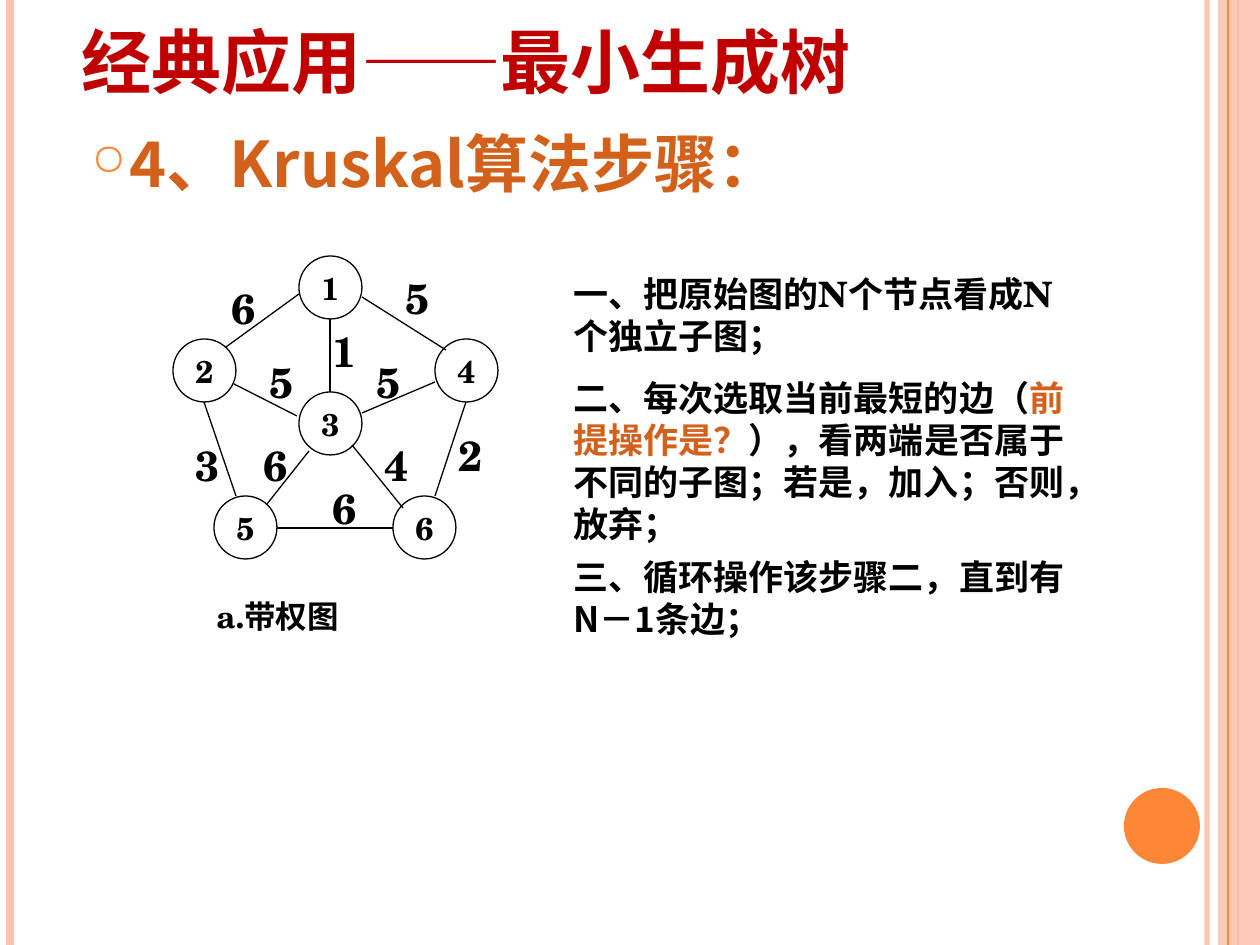
from lxml.etree import SubElement
from pptx import Presentation
from pptx.dml.color import RGBColor
from pptx.enum.shapes import MSO_CONNECTOR, MSO_SHAPE
from pptx.enum.text import MSO_ANCHOR, PP_ALIGN
from pptx.oxml.ns import qn
from pptx.util import Emu, Pt

SCALE = 914400 / 126
WIDE, HIGH = 1260, 945
SERIF, SANS, DASH = "TeX Gyre Schola", "Noto Sans CJK SC", "Arial"
BLACK, RED, RUST = "000000", "C00000", "D2611C"
ORANGE, PEACH = "FE8637", "FEC3AE"
NODE = 63

RULES = [(1207, PEACH, 3, 93), (10, PEACH, 4.5, 100), (1238, ORANGE, 1.5, 100)]
NODES = {"1": (299, 256), "2": (173, 339), "3": (299, 392),
         "4": (435, 339), "5": (214, 496), "6": (393, 496)}
EDGES = [
    ("6", (226, 347), (299, 294), (219, 276)),
    ("5", (362, 297), (446, 350), (393, 266)),
    ("1", (330, 392), (330, 319), (320, 319)),
    ("5", (234, 384), (297, 416), (257, 350)),
    ("5", (362, 413), (435, 382), (364, 350)),
    ("3", (236, 496), (204, 402), (183, 433)),
    ("6", (267, 504), (309, 451), (251, 433)),
    ("4", (352, 445), (403, 508), (372, 433)),
    ("2", (435, 496), (466, 402), (446, 423)),
    ("6", (277, 528), (393, 528), (320, 476)),
]
STEPS = [
    (266, 97, SERIF, [("一、把原始图的N个节点看成N个独立子图；", BLACK)]),
    (370, 181, SERIF, [("二、每次选取当前最短的边（", BLACK),
                       ("前提操作是？", RUST),
                       ("），看两端是否属于不同的子图；若是，加入；否则，放弃；", BLACK)]),
    (549, 97, SANS, [("三、循环操作该步骤二，直到有N－1条边；", BLACK)]),
]


def px(*nums):
    return [Emu(round(n * SCALE)) for n in nums]


def rgb(code):
    return RGBColor.from_string(code)


def fade(shape, alpha):
    if alpha < 100:
        tint = next(shape._element.spPr.iter(qn("a:srgbClr")))
        SubElement(tint, qn("a:alpha"), val=str(alpha * 1000))


def add_line(shapes, start, end, color=BLACK, width=0.75, alpha=100):
    line = shapes.add_connector(MSO_CONNECTOR.STRAIGHT, *px(*start, *end))
    line.line.color.rgb = rgb(color)
    line.line.width = Pt(width)
    fade(line, alpha)
    SubElement(line._element.spPr, qn("a:effectLst"))


def add_block(shapes, kind, box, color, alpha=100):
    block = shapes.add_shape(kind, *px(*box))
    block.shadow.inherit = False
    block.fill.solid()
    block.fill.fore_color.rgb = rgb(color)
    block.line.fill.background()
    fade(block, alpha)


def set_font(font, size, face, color):
    font.size = Pt(size)
    font.bold = True
    font.name = face
    font.color.rgb = rgb(color)


def add_box(shapes, box):
    frame = shapes.add_textbox(*px(*box)).text_frame
    frame.word_wrap = True
    return frame


def add_text(shapes, box, text, size, face=SERIF, color=BLACK):
    para = add_box(shapes, box).paragraphs[0]
    para.text = text
    set_font(para.font, size, face, color)


def add_runs(shapes, box, parts, size):
    frame = add_box(shapes, box)
    for text, face, color in parts:
        run = frame.paragraphs[0].add_run()
        run.text = text
        set_font(run.font, size, face, color)
    return frame


def add_point(shapes, box, text):
    para = add_box(shapes, box).paragraphs[0]
    para.text = text
    props = para._p.get_or_add_pPr()
    indent, = px(38)
    props.set("marL", str(indent))
    props.set("indent", str(-indent))
    tint = SubElement(props, qn("a:buClr"))
    SubElement(tint, qn("a:srgbClr"), val=ORANGE)
    SubElement(props, qn("a:buSzPct"), val="70000")
    SubElement(props, qn("a:buChar"), char="○")
    set_font(para.font, 36, SANS, RUST)


def add_node(shapes, name, spot):
    node = shapes.add_shape(MSO_SHAPE.OVAL, *px(*spot, NODE, NODE))
    node.shadow.inherit = False
    node.fill.background()
    node.line.color.rgb = rgb(BLACK)
    node.line.width = Pt(0.75)
    frame = node.text_frame
    frame.word_wrap = False
    frame.vertical_anchor = MSO_ANCHOR.MIDDLE
    para = frame.paragraphs[0]
    para.text = name
    para.alignment = PP_ALIGN.CENTER
    set_font(para.font, 18, SERIF, BLACK)


def add_frame(shapes):
    for x, color, width, alpha in RULES:
        add_line(shapes, (x, 0), (x, HIGH), color, width, alpha)
    add_block(shapes, MSO_SHAPE.RECTANGLE, (1218, 0, 42, HIGH), PEACH, 87)
    add_line(shapes, (1228, 0), (1228, HIGH), ORANGE)
    add_block(shapes, MSO_SHAPE.OVAL, (1124, 788, 76, 76), ORANGE)


def add_graph(shapes):
    group = shapes.add_group_shape().shapes
    for name, spot in NODES.items():
        add_node(group, name, spot)
    for weight, start, end, spot in EDGES:
        add_line(group, start, end)
        add_text(group, (*spot, 42, NODE), weight, 24)


def main():
    deck = Presentation()
    deck.slide_width, deck.slide_height = px(WIDE, HIGH)
    shapes = deck.slides.add_slide(deck.slide_layouts[6]).shapes
    add_frame(shapes)
    title = add_runs(shapes, (69, -49, 1029, 158),
                     [("经典应用", SERIF, RED), ("——", DASH, RED),
                      ("最小生成树", SERIF, RED)], 40)
    title.vertical_anchor = MSO_ANCHOR.BOTTOM
    add_point(shapes, (79, 118, 819, 105), "4、Kruskal算法步骤：")
    add_graph(shapes)
    add_text(shapes, (204, 591, 242, 50), "a.带权图", 18)
    for top, high, face, parts in STEPS:
        box = (561, top, 525, high)
        if len(parts) == 1:
            add_text(shapes, box, parts[0][0], 20, face)
        else:
            add_runs(shapes, box, [(text, face, color) for text, color in parts], 20)
    deck.save("out.pptx")


if __name__ == "__main__":
    main()
